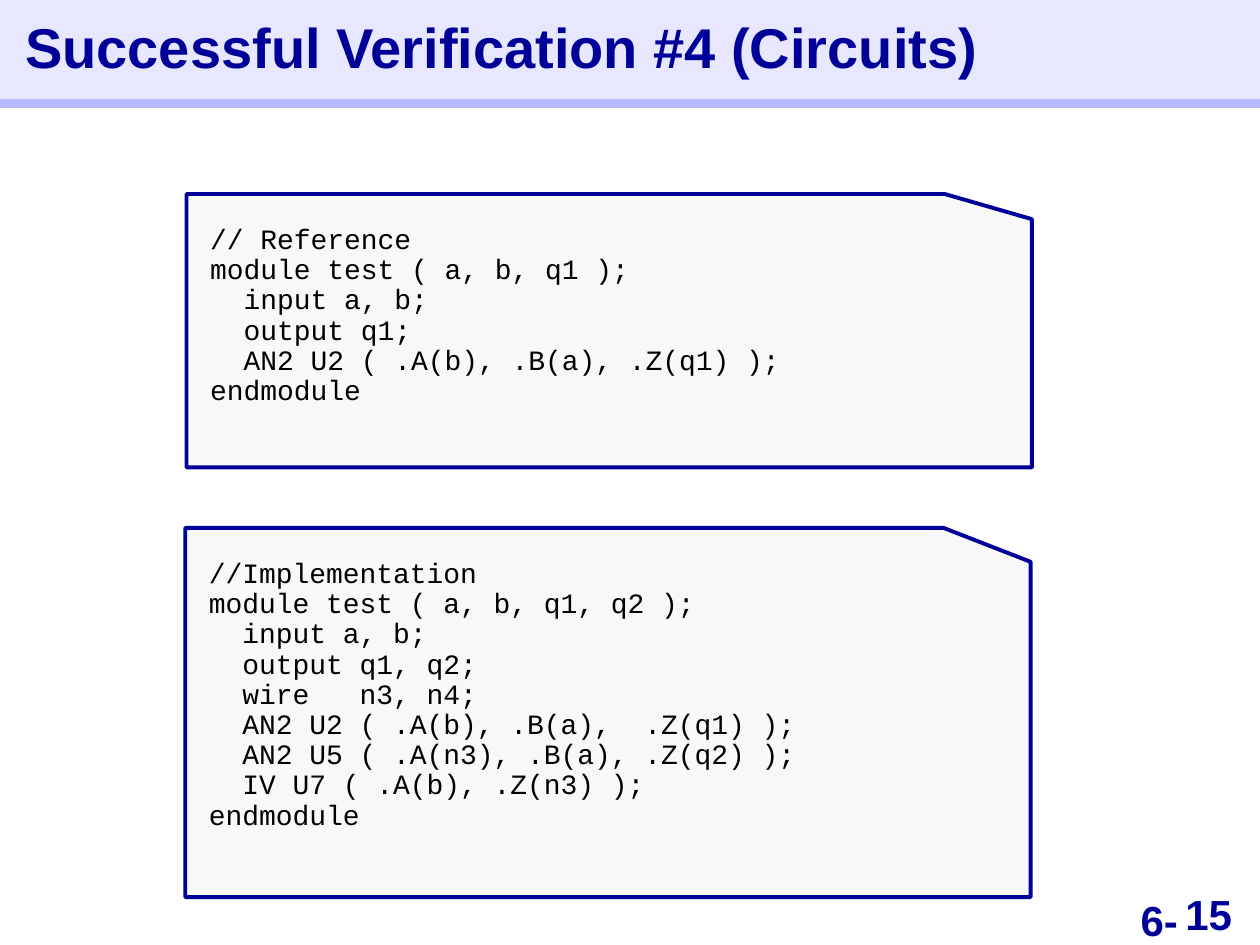
from dataclasses import dataclass

from lxml.etree import SubElement
from pptx import Presentation
from pptx.dml.color import RGBColor
from pptx.enum.shapes import MSO_CONNECTOR as CONN
from pptx.enum.text import MSO_ANCHOR as ANCHOR, MSO_AUTO_SIZE as FIT, PP_ALIGN as ALIGN
from pptx.oxml.ns import qn
from pptx.util import Inches, Pt


@dataclass(frozen=True)
class Theme:
    navy: str = "000099"
    band: str = "E7E7FF"
    rule: str = "B9B9FF"
    panel: str = "F8F8F8"
    ink: str = "000000"
    white: str = "FFFFFF"
    sans: str = "Arial"
    mono: str = "Courier New"
    title_size: int = 32
    page_size: int = 24
    code_size: int = 16


T = Theme()
TITLE_FONT = dict(name=T.sans, size=Pt(T.title_size), bold=True)
PAGE_FONT = dict(name=T.sans, size=Pt(T.page_size), bold=True)
CODE_FONT = dict(name=T.mono, size=Pt(T.code_size), bold=False)

REFERENCE = """\
// Reference
module test ( a, b, q1 );
  input a, b;
  output q1;
  AN2 U2 ( .A(b), .B(a), .Z(q1) );
endmodule"""

IMPLEMENTATION = """\
//Implementation
module test ( a, b, q1, q2 );
  input a, b;
  output q1, q2;
  wire   n3, n4;
  AN2 U2 ( .A(b), .B(a),  .Z(q1) );
  AN2 U5 ( .A(n3), .B(a), .Z(q2) );
  IV U7 ( .A(b), .Z(n3) );
endmodule"""


def paint(fill, color):
    fill.solid()
    fill.fore_color.rgb = RGBColor.from_string(color)


def write(sp, text, font, color, spacing=1.0, align=ALIGN.LEFT,
          anchor=ANCHOR.TOP, margins=(0, 0), wrap=True):
    """Fill a shape with one paragraph per line of text."""
    tf = sp.text_frame
    side, end = map(Inches, margins)
    frame = dict(auto_size=FIT.NONE, word_wrap=wrap, vertical_anchor=anchor,
                 margin_left=side, margin_right=side, margin_top=end, margin_bottom=end)
    for key, value in frame.items():
        setattr(tf, key, value)
    for i, line in enumerate(text.split("\n")):
        p = tf.add_paragraph() if i else tf.paragraphs[0]
        p.alignment, p.line_spacing = align, spacing
        r = p.add_run()
        r.text = line
        for key, value in font.items():
            setattr(r.font, key, value)
        r.font.color.rgb = RGBColor.from_string(color)


def add_text(slide, box, *args, **kwargs):
    sp = slide.shapes.add_textbox(*map(Inches, box))
    write(sp, *args, **kwargs)
    return sp


def add_header(slide, box, text):
    """Title band with a thick rule along its lower edge."""
    x, y, w, h = box
    rule_y = Inches(y + h + 0.02)
    rule = slide.shapes.add_connector(CONN.STRAIGHT, Inches(x), rule_y, Inches(x + w), rule_y)
    rule.line.width = Pt(5)
    rule.line.color.rgb = RGBColor.from_string(T.rule)
    SubElement(rule.element.spPr, qn("a:effectLst"))

    title = slide.shapes.title
    title.left, title.top, title.width, title.height = map(Inches, box)
    paint(title.fill, T.band)
    write(title, text, TITLE_FONT, T.navy, spacing=0.88, anchor=ANCHOR.MIDDLE, margins=(0.2, 0))


def add_code_panel(slide, box, code, text_share):
    """Sheet with its top right corner cut off, holding a code listing."""
    x, y, w, h = box
    cut_x, cut_y = x + 0.897 * w, y + 0.092 * h
    outline = [(cut_x, y), (x + w, cut_y), (x + w, y + h), (x, y + h)]
    fb = slide.shapes.build_freeform(Inches(x), Inches(y))
    fb.add_line_segments([(Inches(px), Inches(py)) for px, py in outline], close=True)
    sheet = fb.convert_to_shape()
    sheet.shadow.inherit = False
    paint(sheet.fill, T.panel)
    paint(sheet.line.fill, T.navy)
    sheet.line.width = Pt(2.25)
    SubElement(sheet.line.fill._xPr, qn("a:round"))

    listing = add_text(slide, (x + 0.09, y + 0.2, 0.903 * w, text_share * h), code,
                       CODE_FONT, T.ink, spacing=0.9, margins=(0.1, 0.05))
    paint(listing.fill, T.panel)


def add_page_number(slide, box, chapter, page):
    """Chapter prefix on the left, page number on a white tile on the right."""
    x, y, w, h = box
    prefix_w, tile_w = 0.56 * w, 0.4 * w
    add_text(slide, (x, y, prefix_w, h), chapter, PAGE_FONT, T.navy, align=ALIGN.RIGHT)
    tile = add_text(slide, (x + w - tile_w, y, tile_w, h), page,
                    PAGE_FONT, T.navy, spacing=0.9, wrap=False)
    paint(tile.fill, T.white)


def main():
    prs = Presentation()
    prs.slide_width, prs.slide_height = Inches(10), Inches(7.5)
    slide = prs.slides.add_slide(prs.slide_layouts[5])

    add_header(slide, (0, 0, 10, 0.8), "Successful Verification #4 (Circuits)")
    add_code_panel(slide, (1.48, 1.54, 6.71, 2.17), REFERENCE, 0.82)
    add_code_panel(slide, (1.47, 4.19, 6.71, 2.93), IMPLEMENTATION, 0.77)
    add_page_number(slide, (8.52, 7.1, 1.48, 0.4), "6-", "15")

    prs.save("out.pptx")


if __name__ == "__main__":
    main()
